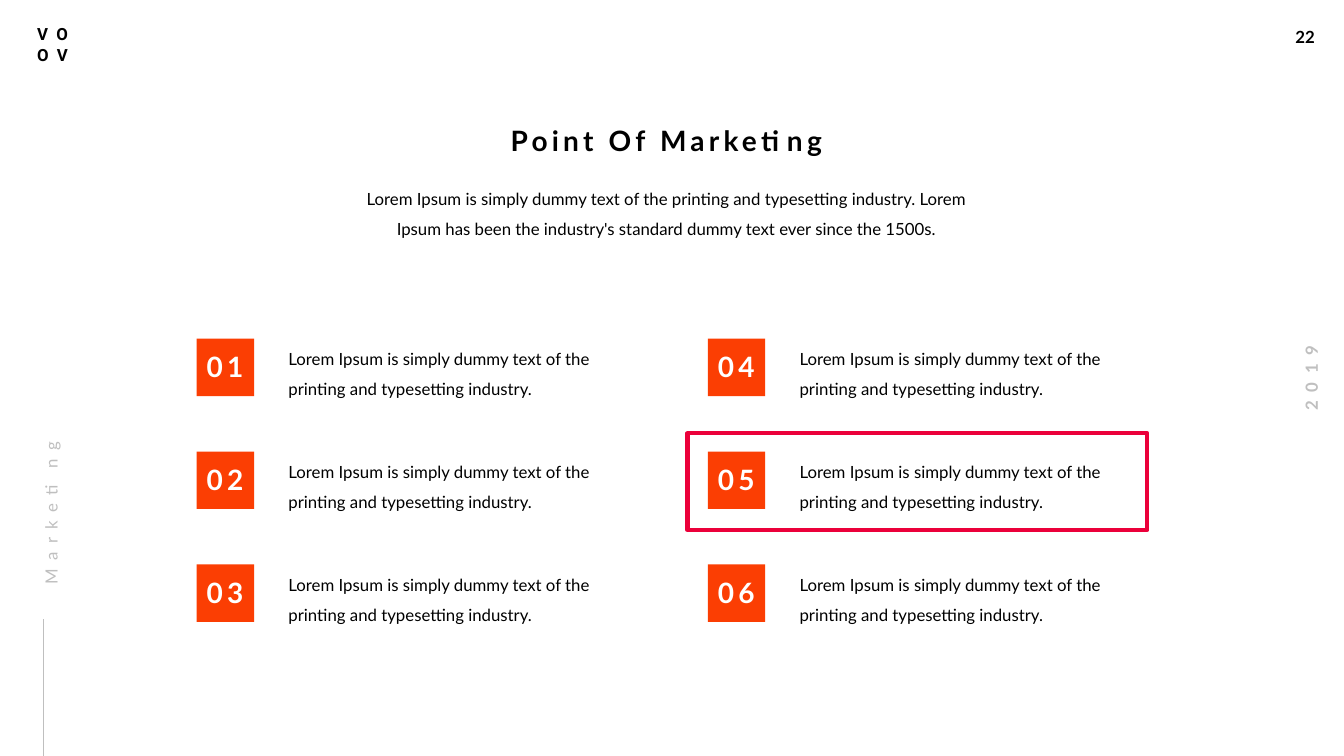
from dataclasses import dataclass
from typing import Any

from lxml import etree
from pptx import Presentation, util as u
from pptx.dml.color import RGBColor
from pptx.enum import shapes, text
from pptx.oxml.ns import qn

WIDTH, HEIGHT = 13.33, 7.5
BLACK, WHITE, GREY, ORANGE, RED = "000000", "FFFFFF", "BFBFBF", "FB3E03", "EB003A"
POINT_COUNT, ROWS = 6, 3
FIRST_LEFT, FIRST_TOP = 14.63, 44.8
COLUMN_PITCH, ROW_PITCH = 38.03, 14.93
TILE_WIDTH, TILE_HEIGHT = 4.28, 7.6
POINT_TEXT = "Lorem Ipsum is simply dummy text of the printing and typesetting industry."


@dataclass(frozen=True)
class Area:
    """Left, top, width and height in percent of the slide."""

    left: float
    top: float
    width: float
    height: float


@dataclass(frozen=True)
class Style:
    size: int = 12
    color: str = BLACK
    bold: bool = False
    font: str = "Lato"
    tracking: int = 0
    align: Any = text.PP_ALIGN.LEFT
    line_spacing: float = 1.0
    space_before: int = 12
    tight: bool = True
    wrap: bool = True
    rotation: int = 0


@dataclass(frozen=True)
class Label:
    words: str
    area: Area
    style: Style


def across(share: float) -> int:
    return u.Inches(WIDTH * share / 100)


def down(share: float) -> int:
    return u.Inches(HEIGHT * share / 100)


def box(area: Area) -> tuple[int, int, int, int]:
    return across(area.left), down(area.top), across(area.width), down(area.height)


def color(value: str) -> RGBColor:
    return RGBColor.from_string(value)


def assign(target: Any, values: dict[str, Any]) -> None:
    for name, value in values.items():
        setattr(target, name, value)


def write(shape: Any, label: Label) -> None:
    style = label.style
    assign(shape, dict(zip(("left", "top", "width", "height"), box(label.area))))
    shape.rotation = style.rotation
    frame = shape.text_frame
    frame.text = label.words
    assign(frame, {
        "word_wrap": style.wrap,
        "auto_size": text.MSO_AUTO_SIZE.SHAPE_TO_FIT_TEXT,
        "vertical_anchor": text.MSO_ANCHOR.TOP,
    })
    if style.tight:
        assign(frame, {"margin_left": 0, "margin_top": 0, "margin_bottom": 0})
    for paragraph in frame.paragraphs:
        assign(paragraph, {
            "alignment": style.align,
            "line_spacing": style.line_spacing,
            "space_before": u.Pt(style.space_before),
        })
        for run in paragraph.runs:
            assign(run.font, {"size": u.Pt(style.size), "bold": style.bold, "name": style.font})
            run.font.color.rgb = color(style.color)
            run._r.get_or_add_rPr().set("spc", str(style.tracking * 100))


def add_label(parent: Any, label: Label) -> None:
    write(parent.add_textbox(*box(label.area)), label)


def add_rectangle(parent: Any, area: Area, fill: str = "", outline: str = "") -> None:
    shape = parent.add_shape(shapes.MSO_SHAPE.RECTANGLE, *box(area))
    shape.shadow.inherit = False
    if fill:
        shape.fill.solid()
        shape.fill.fore_color.rgb = color(fill)
    else:
        shape.fill.background()
    if outline:
        shape.line.color.rgb = color(outline)
        shape.line.width = u.Pt(3)
    else:
        shape.line.fill.background()


def add_point(parent: Any, index: int) -> None:
    column, row = divmod(index, ROWS)
    left = FIRST_LEFT + column * COLUMN_PITCH
    top = FIRST_TOP + row * ROW_PITCH
    add_label(parent, Label(POINT_TEXT, Area(left + 6.83, top, 25.88, 7.6), BODY))
    badge = parent.add_group_shape().shapes
    add_rectangle(badge, Area(left, top, TILE_WIDTH, TILE_HEIGHT), fill=ORANGE)
    number_area = Area(left + 0.75, top + 1.47, TILE_WIDTH, 4.53)
    add_label(badge, Label(f"{index + 1:02}", number_area, NUMBER))


def add_side_line(parent: Any) -> None:
    line = parent.add_connector(
        shapes.MSO_CONNECTOR.STRAIGHT, across(3.23), down(100), across(3.23), down(81.87))
    line.line.color.rgb = color(GREY)
    line.line.width = u.Pt(0.5)
    etree.SubElement(line._element.spPr, qn("a:effectLst"))


CENTER = text.PP_ALIGN.CENTER
BODY = Style(line_spacing=1.5)
NUMBER = Style(size=20, color=WHITE, bold=True, tracking=3)
TITLE = Label("Point Of Marketing", Area(36.83, 16.27, 26.26, 4.53),
              Style(size=20, bold=True, tracking=3, align=CENTER))
LABELS = [
    Label("22", Area(95.65, 2.93, 3.08, 4),
          Style(bold=True, space_before=0, tight=False, wrap=False)),
    Label("2019", Area(94.07, 48, 6.98, 4),
          Style(color=GREY, bold=True, tracking=6, align=CENTER, space_before=0,
                tight=False, wrap=False, rotation=270)),
    Label("VO\nOV", Area(2.03, 2.53, 4.43, 6.67),
          Style(bold=True, font="Roboto", tracking=6, space_before=0, tight=False)),
    Label("Lorem Ipsum is simply dummy text of the printing and typesetting industry. "
          "Lorem Ipsum has been the industry's standard dummy text ever since the 1500s.",
          Area(25.81, 23.6, 48.31, 7.6), Style(align=CENTER, line_spacing=1.5)),
    Label("Marketing", Area(-3.68, 63.2, 13.88, 3.47),
          Style(color=GREY, tracking=6, line_spacing=1.5, rotation=270)),
]

presentation = Presentation()
assign(presentation, {"slide_width": across(100), "slide_height": down(100)})
slide = presentation.slides.add_slide(presentation.slide_layouts.get_by_name("Title Only"))
write(slide.shapes.title, TITLE)
for label in LABELS:
    add_label(slide.shapes, label)
for index in range(POINT_COUNT):
    add_point(slide.shapes, index)
add_side_line(slide.shapes)
add_rectangle(slide.shapes, Area(51.16, 57.33, 34.21, 12.8), outline=RED)
presentation.save("out.pptx")
